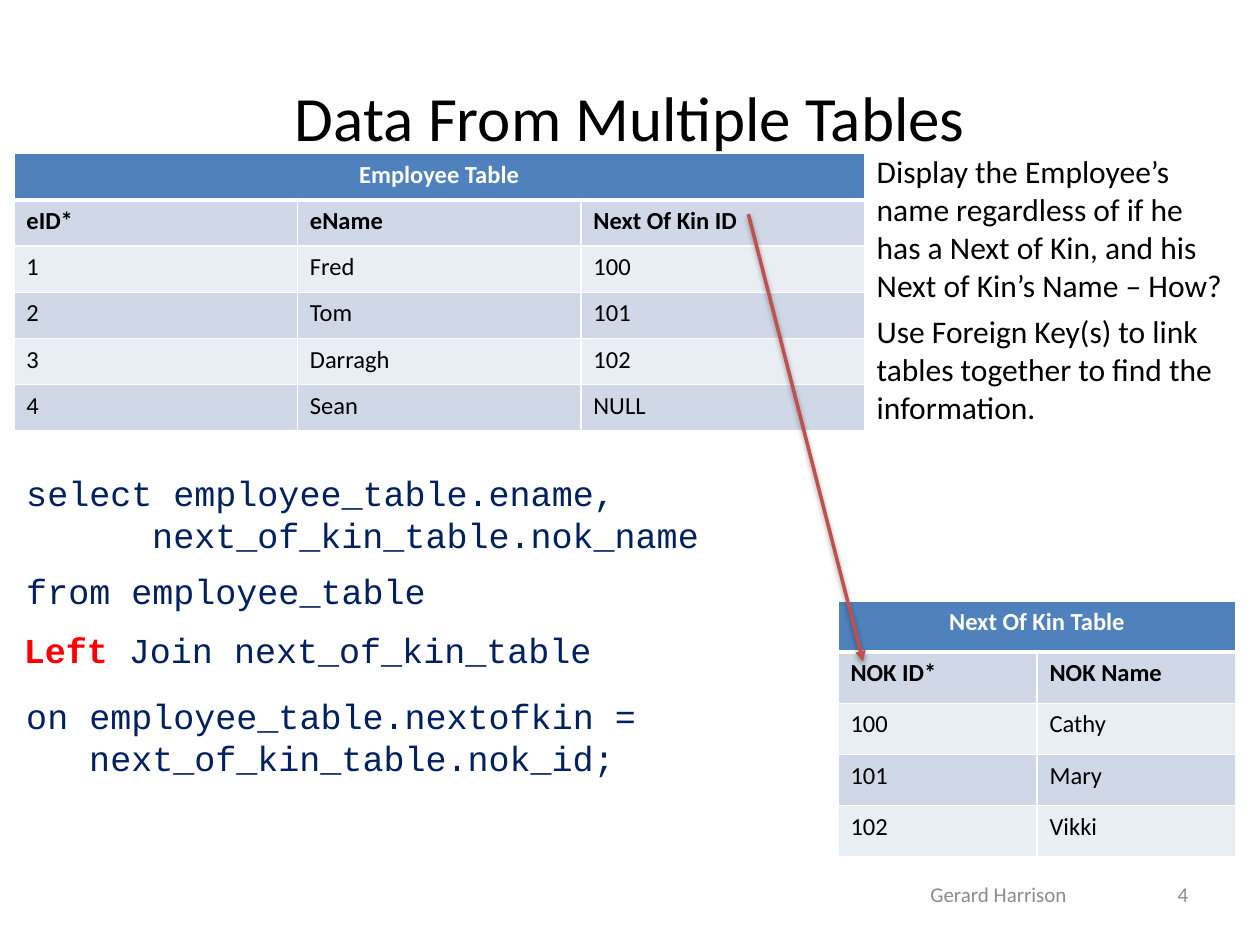
"""Build the slide on joining employee and next of kin data."""
from lxml import etree
from pptx import Presentation
from pptx.dml.color import RGBColor
from pptx.enum.shapes import MSO_CONNECTOR as Link
from pptx.enum.text import MSO_ANCHOR as Anchor, PP_ALIGN as Align
from pptx.oxml import parse_xml
from pptx.oxml.ns import qn
from pptx.util import Inches, Pt

BLACK = RGBColor(0x00, 0x00, 0x00)
WHITE = RGBColor(0xFF, 0xFF, 0xFF)
GRAY = RGBColor(0x8C, 0x8C, 0x8C)
NAVY = RGBColor(0x00, 0x20, 0x60)
RED = RGBColor(0xFF, 0x00, 0x00)
BRICK = RGBColor(0xC0, 0x50, 0x4D)
BLUE = RGBColor(0x4F, 0x81, 0xBD)
BANDS = [RGBColor(0xE9, 0xED, 0xF4), RGBColor(0xD0, 0xD8, 0xE8)]
SANS, MONO = "Calibri", "Courier New"
SPACE = "http://schemas.openxmlformats.org/drawingml/2006/main"

deck = Presentation()
deck.slide_width, deck.slide_height = Inches(10), Inches(7.5)
slide = deck.slides.add_slide(deck.slide_layouts[6])


def add_run(para, text, size, color, font=SANS, bold=False):
    run = para.add_run()
    run.text = text
    run.font.size, run.font.name, run.font.bold = Pt(size), font, bold
    run.font.color.rgb = color


def add_text(box, lines, size, color, font=SANS, align=Align.LEFT, anchor=Anchor.TOP):
    frame = slide.shapes.add_textbox(*map(Inches, box)).text_frame
    frame.word_wrap, frame.vertical_anchor = True, anchor
    for i, (text, indent) in enumerate(lines):
        para = frame.add_paragraph() if i else frame.paragraphs[0]
        para.alignment = align
        if indent:
            para._p.get_or_add_pPr().set("marL", str(Inches(indent)))
        if text:
            add_run(para, text, size, color, font)
    return frame


add_text((0.5, 0.3, 9, 1.25), [("Data From Multiple Tables", 0)], 36, BLACK,
         align=Align.CENTER, anchor=Anchor.MIDDLE)

staff = [
    ("Employee Table", "", ""),
    ("eID*", "eName", "Next Of Kin ID"),
    ("1", "Fred", "100"),
    ("2", "Tom", "101"),
    ("3", "Darragh", "102"),
    ("4", "Sean", "NULL"),
]
kin = [
    ("Next Of Kin Table", ""),
    ("NOK ID*", "NOK Name"),
    ("100", "Cathy"),
    ("101", "Mary"),
    ("102", "Vikki"),
]
for rows, box in [(staff, (0.11, 1.22, 6.75, 2.2)), (kin, (6.65, 4.77, 3.16, 2.03))]:
    grid = slide.shapes.add_table(len(rows), len(rows[0]), *map(Inches, box)).table
    for r, row in enumerate(rows):
        for c, text in enumerate(row):
            cell = grid.cell(r, c)
            props = cell._tc.get_or_add_tcPr()
            for side in "LRTB":
                thick = (r, side) in [(0, "B"), (1, "T")]
                props.append(parse_xml(
                    f'<a:ln{side} xmlns:a="{SPACE}" w="{Pt(3 if thick else 1)}">'
                    f'<a:solidFill><a:srgbClr val="{WHITE}"/></a:solidFill></a:ln{side}>'))
            cell.fill.solid()
            cell.fill.fore_color.rgb = BANDS[r % 2] if r else BLUE
            if text:
                para = cell.text_frame.paragraphs[0]
                para.alignment = Align.LEFT if r else Align.CENTER
                add_run(para, text, 14, BLACK if r else WHITE, bold=r < 2)
    grid.cell(0, 0).merge(grid.cell(0, len(rows[0]) - 1))

add_text((6.34, 6.9, 3.17, 0.4), [("Gerard Harrison", 0)], 12, GRAY,
         align=Align.CENTER, anchor=Anchor.MIDDLE)
add_text((7.2, 6.9, 2.33, 0.4), [("4", 0)], 12, GRAY,
         align=Align.RIGHT, anchor=Anchor.MIDDLE)

arrow = slide.shapes.add_connector(Link.STRAIGHT, *map(Inches, (5.94, 1.7, 6.85, 5.25)))
arrow.line.color.rgb, arrow.line.width = BRICK, Pt(2)
etree.SubElement(arrow.line._get_or_add_ln(), qn("a:tailEnd"), type="triangle")
arrow._element.spPr.append(parse_xml(
    f'<a:effectLst xmlns:a="{SPACE}"><a:outerShdw blurRad="{Pt(3.1)}" dist="{Pt(1.6)}" '
    'dir="5400000" rotWithShape="0"><a:srgbClr val="000000"><a:alpha val="38000"/>'
    '</a:srgbClr></a:outerShdw></a:effectLst>'))

add_text((6.86, 1.16, 3.02, 1.31), [(
    "Display the Employee’s name regardless of if he has a Next of Kin, "
    "and his Next of Kin’s Name – How?", 0)], 18, BLACK)
add_text((6.86, 2.43, 3.03, 1.01), [(
    "Use Foreign Key(s) to link tables together to find the information.", 0)], 18, BLACK)

query = [
    (0.11, 3.69, 0.77, [("select employee_table.ename,", 0), ("next_of_kin_table.nok_name", 1)]),
    (0.11, 4.47, 0.44, [("from employee_table", 0)]),
    (0.11, 5.46, 0.77, [("on employee_table.nextofkin =", 0), ("next_of_kin_table.nok_id;", 0.5)]),
]
for left, top, high, lines in query:
    add_text((left, top, 5.59, high), lines, 20, NAVY, MONO)
join = add_text((0.09, 4.94, 5.59, 0.44), [("", 0)], 20, NAVY, MONO).paragraphs[0]
add_run(join, "Left", 20, RED, MONO, True)
add_run(join, " Join next_of_kin_table", 20, NAVY, MONO)

deck.save("out.pptx")
